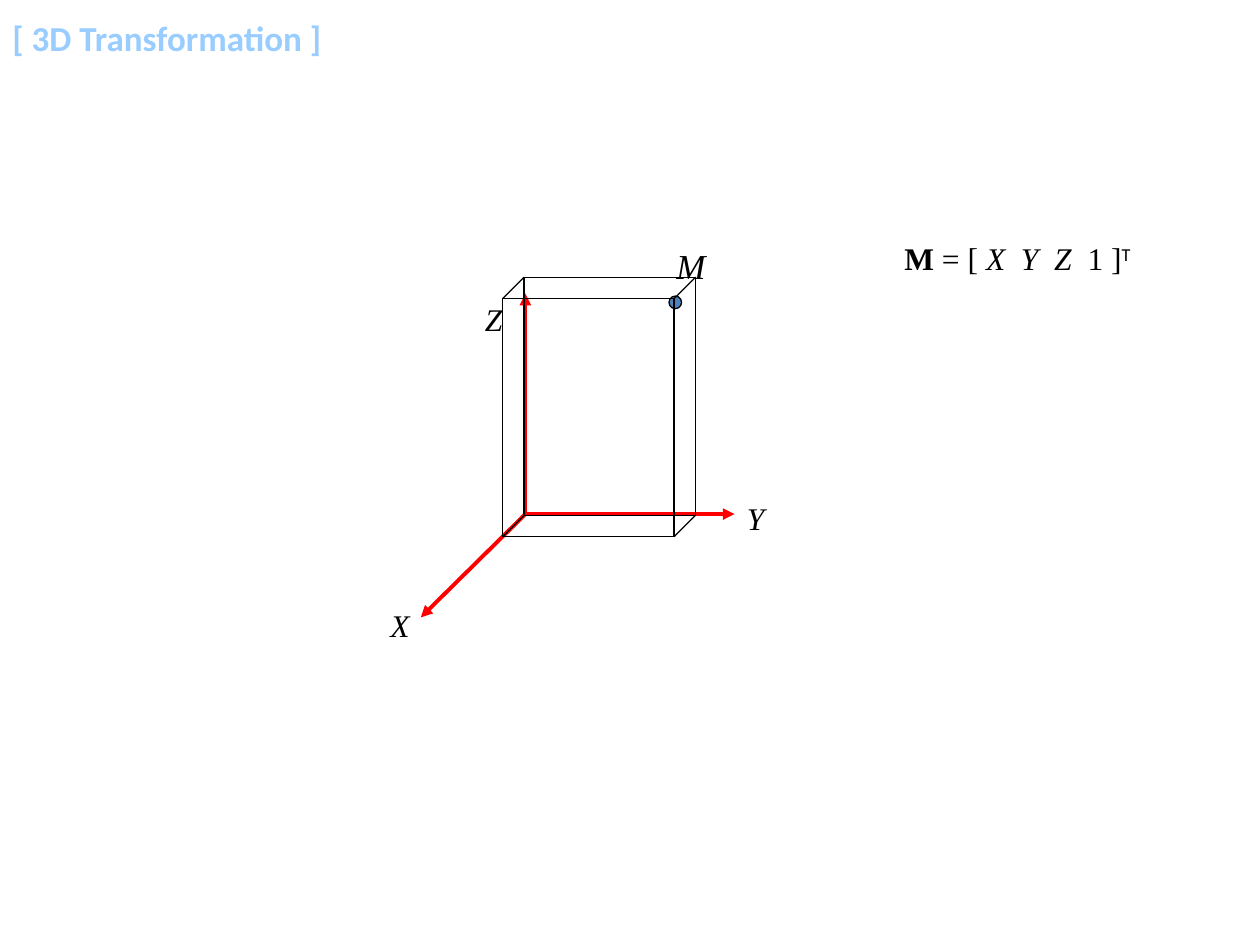
"""Builds a slide showing a point M as the corner of a box on X, Y and Z axes."""
from lxml import etree
from pptx import Presentation
from pptx.dml.color import RGBColor
from pptx.enum.shapes import MSO_CONNECTOR, MSO_SHAPE
from pptx.enum.text import MSO_ANCHOR
from pptx.oxml.ns import qn
from pptx.util import Inches, Pt

STRAIGHT = MSO_CONNECTOR.STRAIGHT
RECTANGLE, OVAL = MSO_SHAPE.RECTANGLE, MSO_SHAPE.OVAL
TOP = MSO_ANCHOR.TOP

THEME = {
    "title": RGBColor(0x99, 0xCC, 0xFF),
    "ink": RGBColor(0, 0, 0),
    "axis": RGBColor(0xFF, 0, 0),
    "point": RGBColor(0x4F, 0x81, 0xBD),
    "sans": "Calibri",
    "serif": "Times New Roman",
    "large": Pt(20),
    "normal": Pt(18),
    "thin": Pt(0.75),
    "thick": Pt(2.25),
}

deck = Presentation()
deck.slide_width, deck.slide_height = Inches(10), Inches(7.5)
slide = deck.slides.add_slide(deck.slide_layouts[6])


def add_text(box, runs, wrap=True):
    frame = slide.shapes.add_textbox(*map(Inches, box)).text_frame
    frame.word_wrap = wrap
    frame.vertical_anchor = TOP
    for words, style in runs:
        run = frame.paragraphs[0].add_run()
        run.text = words
        look = {"name": THEME["serif"], "size": THEME["normal"], **style}
        run.font.color.rgb = look.pop("color", THEME["ink"])
        for key, value in look.items():
            setattr(run.font, key, value)
    return frame


def add_line(start, end, color, width):
    line = slide.shapes.add_connector(STRAIGHT, *map(Inches, start + end))
    line.line.color.rgb = color
    line.line.width = width
    etree.SubElement(line._element.spPr, qn("a:effectLst"))
    return line


add_text((0, 0.08, 4.4, 0.58), [("[ 3D Transformation ]", {
    "name": THEME["sans"], "size": THEME["large"], "bold": True,
    "color": THEME["title"]})])

origin = (4.17, 4.08)
for axis_end in [(4.17, 2.33), (5.83, 4.08), (3.34, 4.9)]:
    axis = add_line(origin, axis_end, THEME["axis"], THEME["thick"])
    etree.SubElement(axis.line._get_or_add_ln(), qn("a:tailEnd"), type="triangle")

labels = [
    ("X", (3, 4.76, 0.51, 0.4), "normal"),
    ("Y", (5.83, 3.91, 0.43, 0.4), "normal"),
    ("Z", (3.75, 2.33, 0.44, 0.4), "normal"),
    ("M", (5.27, 1.89, 0.45, 0.43), "large"),
]
for letter, box, size in labels:
    add_text(box, [(letter, {"size": THEME[size], "italic": True})])

left, top, width, height, depth = 3.99, 2.37, 1.36, 1.89, 0.17
outlines = [
    (OVAL, (5.31, 2.35, 0.1, 0.1), THEME["point"]),
    (RECTANGLE, (left + depth, top - depth, width, height), None),
    (RECTANGLE, (left, top, width, height), None),
]
for kind, box, fill in outlines:
    outline = slide.shapes.add_shape(kind, *map(Inches, box))
    outline.shadow.inherit = False
    outline.line.color.rgb = THEME["ink"]
    outline.line.width = THEME["thin"]
    if fill is None:
        outline.fill.background()
    else:
        outline.fill.solid()
        outline.fill.fore_color.rgb = fill

for x in (left, left + width):
    for y in (top, top + height):
        add_line((x, y), (x + depth, y - depth), THEME["ink"], THEME["thin"])

formula = add_text((7.08, 1.85, 2.1, 0.4), [
    ("M", {"bold": True}),
    (" = [ ", {}),
    ("X  Y  Z  ", {"italic": True}),
    ("1 ]", {}),
    ("T", {"name": THEME["sans"]}),
], wrap=False)
transpose = formula.paragraphs[0].runs[-1]
transpose.font._element.set("baseline", "30000")

deck.save("out.pptx")
